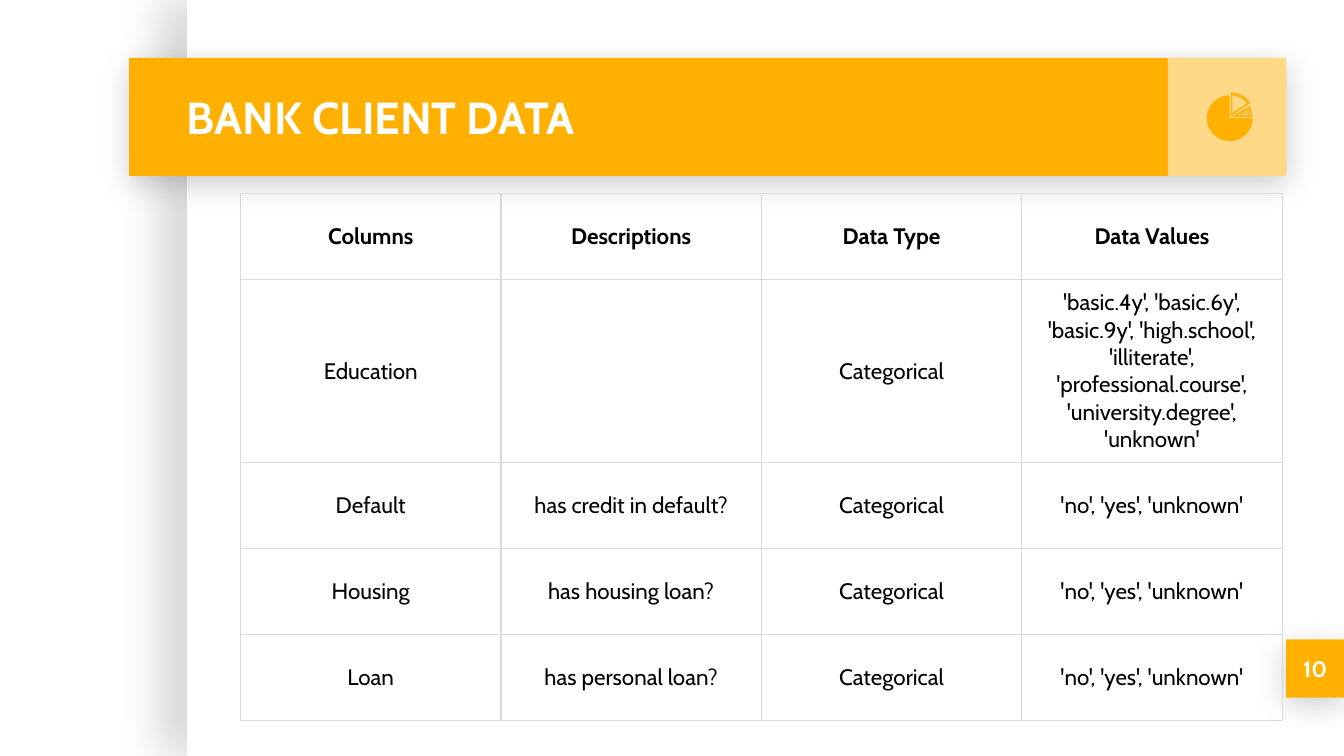
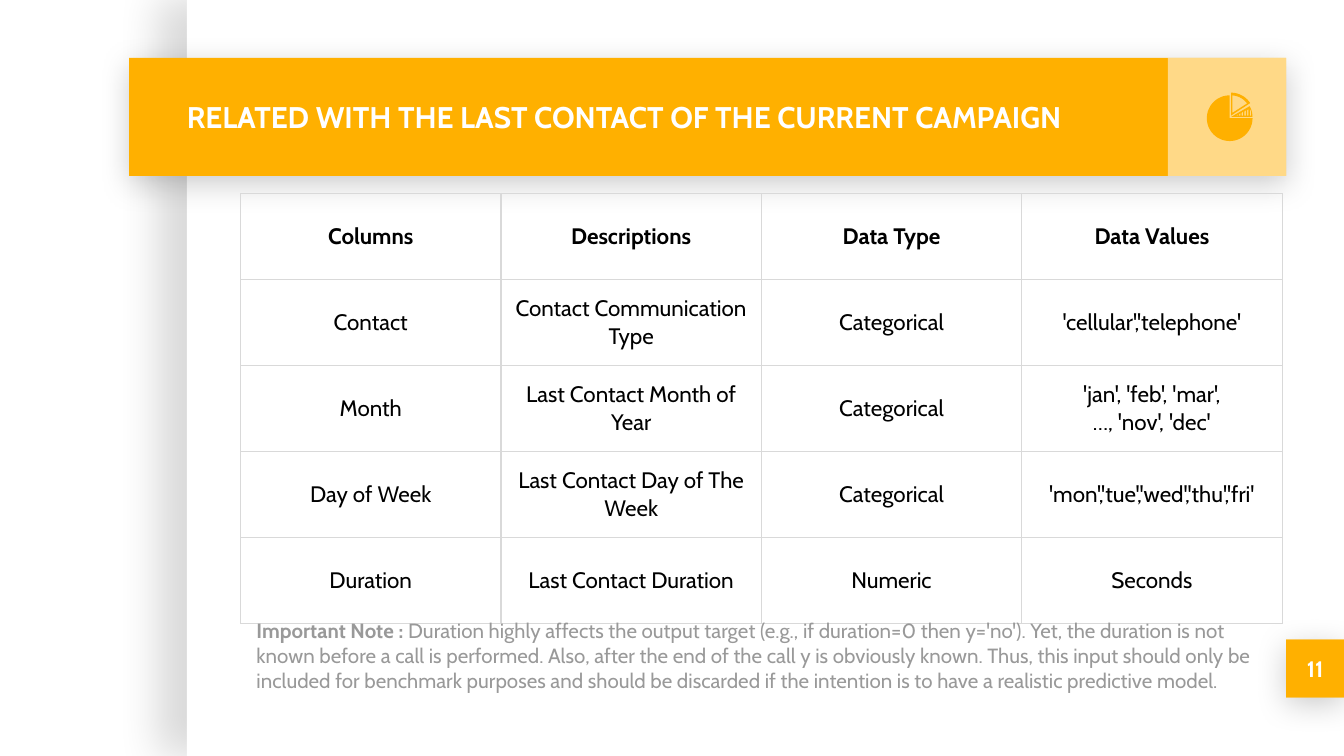
from dataclasses import dataclass
from math import cos, radians, sin

from lxml.etree import SubElement
from pptx import Presentation
from pptx.dml.color import RGBColor as RGB
from pptx.enum.shapes import MSO_SHAPE as Shape
from pptx.enum.text import MSO_ANCHOR as Anchor, MSO_AUTO_SIZE as AutoSize, PP_ALIGN as Align
from pptx.oxml.ns import qn
from pptx.util import Inches, Pt


@dataclass(frozen=True)
class Theme:
    font: str = "Cabin"
    white: RGB = RGB(0xFF, 0xFF, 0xFF)
    black: RGB = RGB(0, 0, 0)
    accent: RGB = RGB(0xFF, 0xB0, 0x00)
    note: RGB = RGB(0x99, 0x99, 0x99)
    border: str = "D9D9D9"
    border_width: float = 0.75
    title_size: int = 24
    long_title_size: int = 16
    text_size: int = 12
    note_size: int = 11


THEME = Theme()
PAGE_WIDTH = 10
PAGE_HEIGHT = PAGE_WIDTH * 9 / 16
TITLE_ONLY = 5
PAGE_TAB = (9.57, 4.76, 0.43, 0.43)
BAND = (0.96, 0.43, 8.61, 0.88)
BAND_END = (8.69, 0.43, 0.88, 0.88)
TITLE_BOX = (1.29, 0.43, 7.37, 0.88)
# Shadow settings: opacity in percent, blur and distance in points, direction in degrees
PANEL_SHADOW = (15, 22.5, 15, 180)
BAND_SHADOW = (20, 16.9, 3.8, 90)

HEADERS = ("Columns", "Descriptions", "Data Type", "Data Values")
YES_NO = "'no', 'yes', 'unknown'"
CLIENT_ROWS = (
    ("Education", "", "Categorical",
     "'basic.4y', 'basic.6y', 'basic.9y', 'high.school', 'illiterate', "
     "'professional.course', 'university.degree', 'unknown'"),
    ("Default", "has credit in default?", "Categorical", YES_NO),
    ("Housing", "has housing loan?", "Categorical", YES_NO),
    ("Loan", "has personal loan?", "Categorical", YES_NO),
)
CONTACT_ROWS = (
    ("Contact", "Contact Communication Type", "Categorical", "'cellular','telephone'"),
    ("Month", "Last Contact Month of Year", "Categorical",
     "'jan', 'feb', 'mar',\n…, 'nov', 'dec'"),
    ("Day of Week", "Last Contact Day of The Week", "Categorical",
     "'mon','tue','wed','thu','fri'"),
    ("Duration", "Last Contact Duration", "Numeric", "Seconds"),
)
NOTE_LABEL = "Important Note : "
NOTE = (
    "Duration highly affects the output target (e.g., if duration=0 then y='no'). "
    "Yet, the duration is not known before a call is performed. Also, after the end of "
    "the call y is obviously known. Thus, this input should only be included for "
    "benchmark purposes and should be discarded if the intention is to have a "
    "realistic predictive model."
)


def inches(values):
    return [Inches(value) for value in values]


def set_margins(holder, side, top):
    holder.margin_left = holder.margin_right = Inches(side)
    holder.margin_top = holder.margin_bottom = Inches(top)


def format_run(run, size, color, bold):
    run.font.name = THEME.font
    run.font.size = Pt(size)
    run.font.color.rgb = color
    run.font.bold = bold


def write(frame, text, size, color, bold, align):
    frame.text = text
    for paragraph in frame.paragraphs:
        paragraph.alignment = align
        for run in paragraph.runs:
            format_run(run, size, color, bold)


def paint(shape, color):
    shape.shadow.inherit = False
    shape.fill.solid()
    shape.fill.fore_color.rgb = color
    shape.line.fill.background()


def add_block(slide, box, color):
    block = slide.shapes.add_shape(Shape.RECTANGLE, *inches(box))
    paint(block, color)
    return block


def set_opacity(color_element, percent):
    SubElement(color_element, qn("a:alpha"), val=str(percent * 1000))


def cast_shadow(shape, opacity, blur, distance, direction):
    effects = shape.element.spPr.find(qn("a:effectLst"))
    shadow = SubElement(
        effects, qn("a:outerShdw"), blurRad=str(Pt(blur)), dist=str(Pt(distance)),
        dir=str(direction * 60000), algn="bl", rotWithShape="0")
    set_opacity(SubElement(shadow, qn("a:srgbClr"), val=str(THEME.black)), opacity)


def build_frame(slide, layout):
    """Draw the panel, page tab and title band, then hand them to the shared layout."""
    panel = add_block(slide, (1.39, 0, 8.61, PAGE_HEIGHT), THEME.white)
    cast_shadow(panel, *PANEL_SHADOW)
    tab = add_block(slide, PAGE_TAB, THEME.accent)
    band = add_block(slide, BAND, THEME.accent)
    for shape in (tab, band):
        cast_shadow(shape, *BAND_SHADOW)
    band_end = add_block(slide, BAND_END, THEME.white)
    set_opacity(band_end.element.spPr.find(f"{qn('a:solidFill')}/{qn('a:srgbClr')}"), 53)
    for shape in (panel, tab, band, band_end):
        layout.shapes.element.append(shape.element)


def add_title(slide, text, size):
    title = slide.shapes.title
    title.left, title.top, title.width, title.height = inches(TITLE_BOX)
    frame = title.text_frame
    frame.auto_size = AutoSize.NONE
    frame.vertical_anchor = Anchor.MIDDLE
    set_margins(frame, 0.1, 0.1)
    write(frame, text, size, THEME.white, True, Align.LEFT)


def add_page_number(slide, number):
    frame = add_block(slide, PAGE_TAB, THEME.accent).text_frame
    frame.vertical_anchor = Anchor.MIDDLE
    set_margins(frame, 0.1, 0.1)
    write(frame, str(number), THEME.text_size, THEME.white, True, Align.CENTER)


def arc(center, radius, start, end, steps=16):
    """Return points on an arc; angles run clockwise from the right."""
    angles = [radians(start + (end - start) * i / steps) for i in range(steps + 1)]
    return [(center[0] + radius * cos(a), center[1] + radius * sin(a)) for a in angles]


def add_outline(group, *contours):
    """Fill the first contour; the others are holes in it."""
    first, *holes = [[tuple(inches(point)) for point in contour] for contour in contours]
    builder = group.shapes.build_freeform(*first[0])
    builder.add_line_segments(first[1:])
    for hole in holes:
        builder.move_to(*hole[0])
        builder.add_line_segments(hole[1:])
    paint(builder.convert_to_shape(), THEME.accent)


def add_pie_icon(slide):
    icon = slide.shapes.add_group_shape()
    body, slice_tip, wedge_tip = (9.15, 0.88), (9.16, 0.87), (9.16, 0.86)
    add_outline(icon, [body, *arc(body, 0.17, 0, 270, 48)])
    bars = []
    for i in range(5):
        left, top = 9.2 + 0.02 * i, 0.86 - 0.01 * i
        bars.append([(left, top), (left + 0.01, top - 0.01), (left + 0.01, 0.86), (left, 0.86)])
    bars.append([(9.3, 0.81), (9.31, 0.83), (9.31, 0.86), (9.3, 0.86)])
    add_outline(icon, [slice_tip, *arc(slice_tip, 0.16, -30, 0)], *bars)
    add_outline(icon, [wedge_tip, *arc(wedge_tip, 0.17, -90, -33)],
                [(9.17, 0.84), *arc(wedge_tip, 0.15, -86, -37)])


def set_borders(cell):
    properties = cell._tc.get_or_add_tcPr()
    for side in ("lnL", "lnR", "lnT", "lnB"):
        line = SubElement(properties, qn(f"a:{side}"), w=str(Pt(THEME.border_width)))
        fill = SubElement(line, qn("a:solidFill"))
        SubElement(fill, qn("a:srgbClr"), val=THEME.border)


def add_data_table(slide, rows):
    lines = (HEADERS, *rows)
    row_height, table_width = 0.64, 7.75
    table = slide.shapes.add_table(
        len(lines), len(HEADERS), Inches(1.79), Inches(1.44),
        Inches(table_width), Inches(row_height * len(lines))).table
    table.first_row = table.horz_banding = False
    for r, line in enumerate(lines):
        for c, text in enumerate(line):
            cell = table.cell(r, c)
            set_borders(cell)
            cell.fill.background()
            cell.vertical_anchor = Anchor.MIDDLE
            set_margins(cell, 0.1, 0.07)
            write(cell.text_frame, text, THEME.text_size, THEME.black, r == 0, Align.CENTER)


def add_note(slide):
    frame = slide.shapes.add_textbox(*inches((1.81, 4.5, 7.85, 0.82))).text_frame
    frame.word_wrap = True
    set_margins(frame, 0.1, 0.1)
    paragraph = frame.paragraphs[0]
    paragraph.space_before = Pt(10)
    for text, bold in ((NOTE_LABEL, True), (NOTE, False)):
        run = paragraph.add_run()
        run.text = text
        format_run(run, THEME.note_size, THEME.note, bold)


def add_data_slide(deck, title, title_size, rows, number):
    slide = deck.slides.add_slide(deck.slide_layouts[TITLE_ONLY])
    add_title(slide, title, title_size)
    add_data_table(slide, rows)
    add_page_number(slide, number)
    add_pie_icon(slide)
    return slide


def main():
    deck = Presentation()
    deck.slide_width, deck.slide_height = inches((PAGE_WIDTH, PAGE_HEIGHT))
    client = add_data_slide(deck, "BANK CLIENT DATA", THEME.title_size, CLIENT_ROWS, 10)
    build_frame(client, client.slide_layout)
    contact = add_data_slide(
        deck, "RELATED WITH THE LAST CONTACT OF THE CURRENT CAMPAIGN",
        THEME.long_title_size, CONTACT_ROWS, 11)
    add_note(contact)
    deck.save("out.pptx")


if __name__ == "__main__":
    main()
